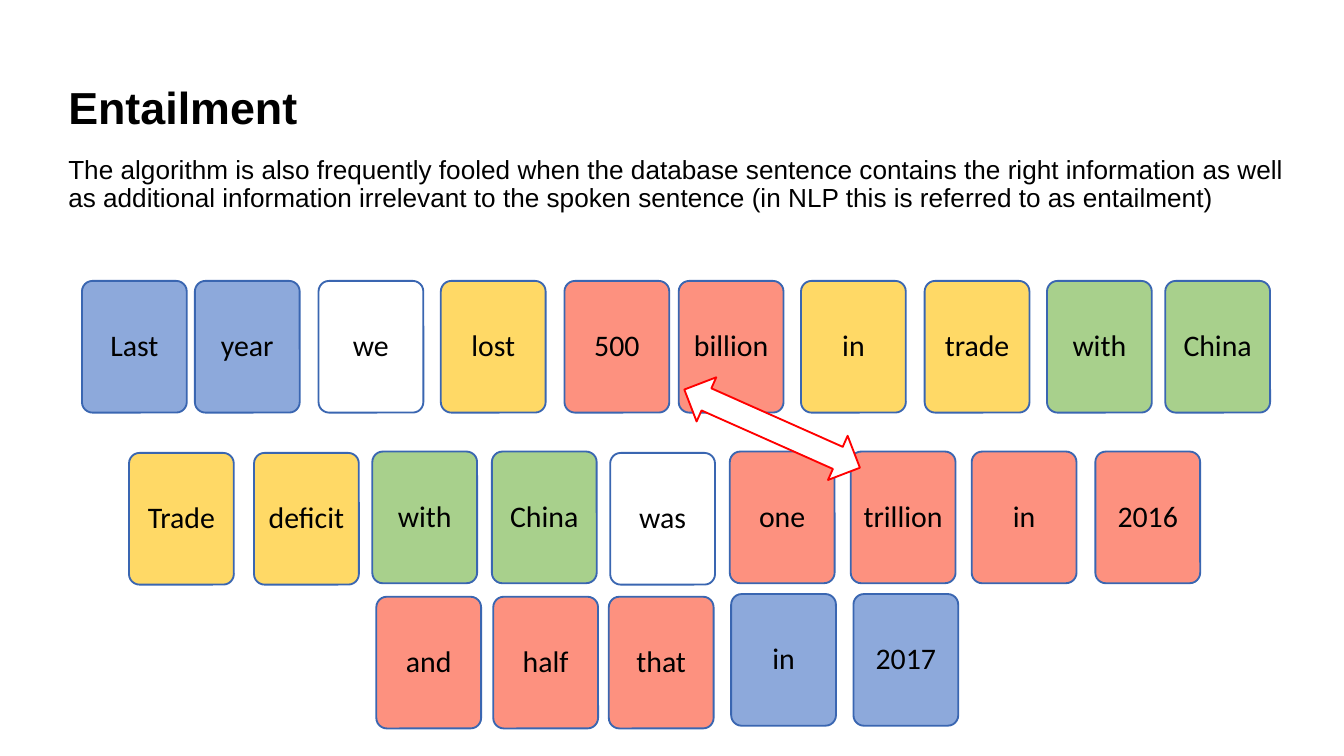
from pptx import Presentation
from pptx.dml.color import RGBColor
from pptx.enum.shapes import MSO_SHAPE as Shape
from pptx.enum.text import MSO_ANCHOR as Anchor, PP_ALIGN as Align
from pptx.util import Inches, Pt

BLACK = RGBColor(0x00, 0x00, 0x00)
WHITE = RGBColor(0xFF, 0xFF, 0xFF)
RED = RGBColor(0xFF, 0x00, 0x00)
OUTLINE = RGBColor(0x3A, 0x66, 0xB1)
TIME = RGBColor(0x8D, 0xA9, 0xDB)
TOPIC = RGBColor(0xFF, 0xD9, 0x66)
AMOUNT = RGBColor(0xFD, 0x91, 0x7F)
PARTNER = RGBColor(0xA8, 0xD0, 0x8C)

TITLE = "Entailment"
EXPLANATION = (
    "The algorithm is also frequently fooled when the database sentence "
    "contains the right information as well as additional information "
    "irrelevant to the spoken sentence (in NLP this is referred to as entailment)"
)
WORD_GROUPS = [
    (2.09, [
        ("Last", 0.61, TIME), ("year", 1.45, TIME), ("we", 2.37, WHITE),
        ("lost", 3.28, TOPIC), ("500", 4.2, AMOUNT), ("billion", 5.05, AMOUNT),
        ("in", 5.96, TOPIC), ("trade", 6.88, TOPIC),
        ("with", 7.79, PARTNER), ("China", 8.67, PARTNER),
    ]),
    (3.37, [("Trade", 0.96, TOPIC), ("deficit", 1.89, TOPIC)]),
    (3.36, [("with", 2.77, PARTNER), ("China", 3.66, PARTNER)]),
    (3.37, [("was", 4.54, WHITE)]),
    (3.36, [
        ("one", 5.43, AMOUNT), ("trillion", 6.33, AMOUNT),
        ("in", 7.23, AMOUNT), ("2016", 8.15, AMOUNT),
    ]),
    (4.44, [("and", 2.8, AMOUNT), ("half", 3.67, AMOUNT), ("that", 4.53, AMOUNT)]),
    (4.42, [("in", 5.44, TIME), ("2017", 6.35, TIME)]),
]
SLIDE_WIDTH = 10
CARD_WIDTH, CARD_HEIGHT = 0.78, 0.98


def write(holder, text, *, font, size, bold=False, align=Align.LEFT,
          anchor=Anchor.TOP, insets=(0.1, 0.05)):
    frame = holder.text_frame
    frame.word_wrap = True
    frame.vertical_anchor = anchor
    frame.margin_left = frame.margin_right = Inches(insets[0])
    frame.margin_top = frame.margin_bottom = Inches(insets[1])
    paragraph = frame.paragraphs[0]
    paragraph.alignment = align
    paragraph.line_spacing = 0.9
    run = paragraph.add_run()
    run.text = text
    run.font.name = font
    run.font.size = Pt(size)
    run.font.bold = bold
    run.font.color.rgb = BLACK


def draw(slide, preset, box, fill, outline):
    drawn = slide.shapes.add_shape(preset, *map(Inches, box))
    drawn.shadow.inherit = False
    drawn.fill.solid()
    drawn.fill.fore_color.rgb = fill
    drawn.line.color.rgb = outline
    drawn.line.width = Pt(1)
    return drawn


def main():
    deck = Presentation()
    deck.slide_width = Inches(SLIDE_WIDTH)
    deck.slide_height = Inches(SLIDE_WIDTH * 9 / 16)
    slide = deck.slides.add_slide(deck.slide_layouts[6])

    for top, words in WORD_GROUPS:
        for word, left, color in words:
            card = draw(slide, Shape.ROUNDED_RECTANGLE,
                        (left, top, CARD_WIDTH, CARD_HEIGHT), color, OUTLINE)
            card.adjustments[0] = 0.1
            write(card, word, font="Calibri", size=16, align=Align.CENTER,
                  anchor=Anchor.MIDDLE, insets=(0.05, 0.07))

    title = slide.shapes.add_textbox(*map(Inches, (0.41, 0.27, 8.62, 1.09)))
    write(title, TITLE, font="Arial", size=24, bold=True, anchor=Anchor.MIDDLE)
    explanation = slide.shapes.add_textbox(*map(Inches, (0.41, 1.12, 9.43, 3.38)))
    write(explanation, EXPLANATION, font="Arial", size=14)

    mismatch = draw(slide, Shape.LEFT_RIGHT_ARROW, (5.03, 3.01, 1.43, 0.36), WHITE, RED)
    mismatch.rotation = 24

    deck.save("out.pptx")


if __name__ == "__main__":
    main()
